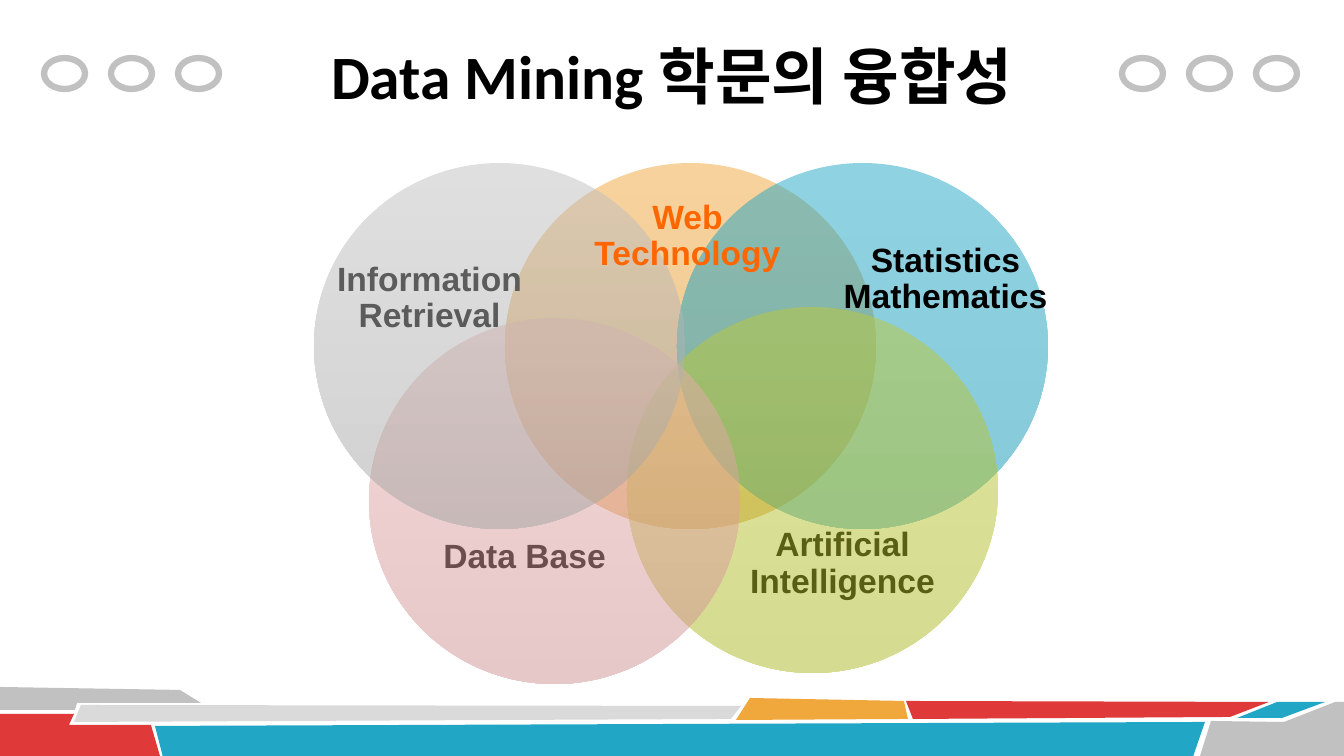
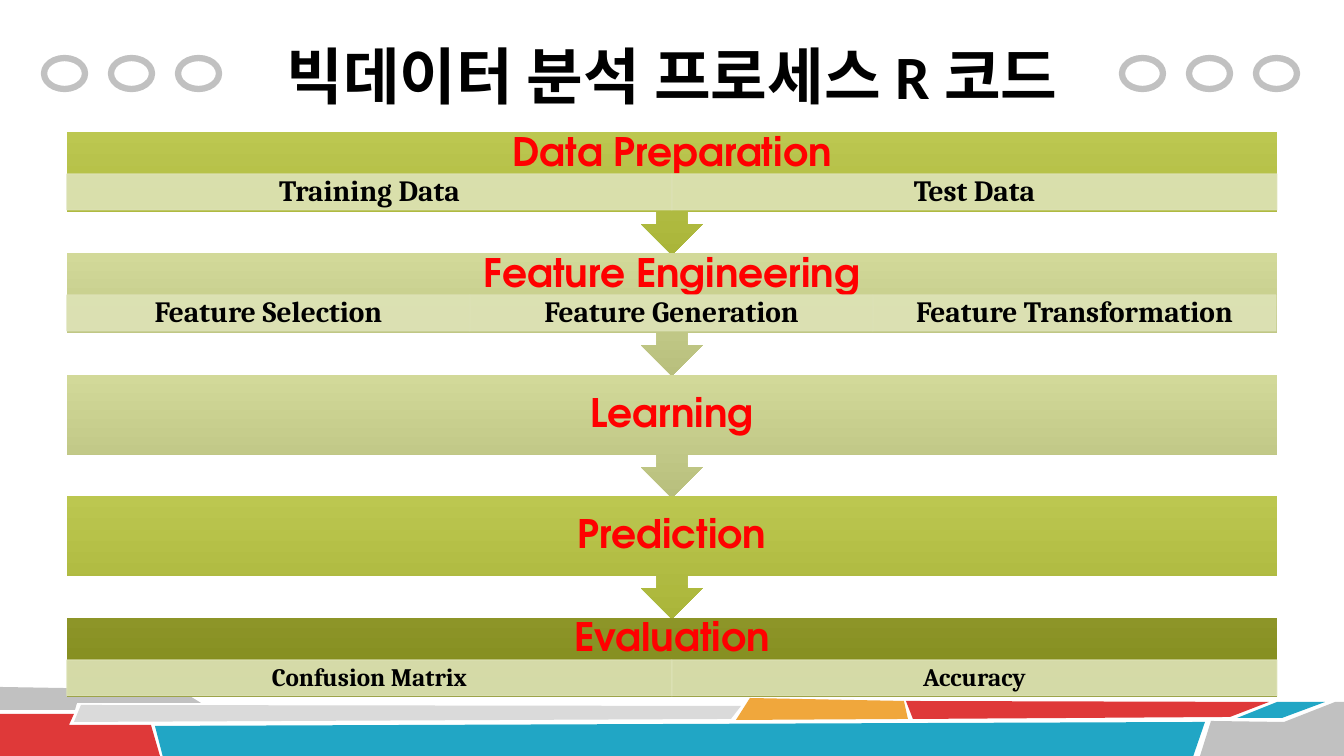
"""Build two slides on data mining: its overlapping disciplines and its process."""
from lxml import etree
from pptx import Presentation
from pptx.dml.color import RGBColor
from pptx.enum import shapes, text
from pptx.oxml.ns import qn

PX = 9072
GREY, RED, TEAL, AMBER = "C1C1C1", "DF3939", "21A6C5", "F0A73C"
OLIVE, PALE, DARK = ("BCC750", "AAB53A"), ("D2D999", "B8BF7D"), ("8D9528", "808919")
CELL = "DEE3B7"
KIND = shapes.MSO_SHAPE
rgb = RGBColor.from_string


def write(frame, words, font, size, color="000000", spacing=None, insets=(0, 0, 0, 0)):
    frame.word_wrap = True
    frame.vertical_anchor = text.MSO_ANCHOR.MIDDLE
    for side, inset in zip(("left", "top", "right", "bottom"), insets):
        setattr(frame, f"margin_{side}", inset * PX)
    line = frame.paragraphs[0]
    line.text = words
    line.alignment = text.PP_ALIGN.CENTER
    line.line_spacing = spacing
    style = {"name": font, "size": size * 12700, "bold": True}
    for name, value in style.items():
        setattr(line.runs[0].font, name, value)
    line.runs[0].font.color.rgb = rgb(color)


def add_block(slide, kind, box, colors, opacity=100, outlined=False):
    block = slide.shapes.add_shape(kind, *(v * PX for v in box))
    block.shadow.inherit = False
    if len(colors) == 2:
        block.fill.gradient()
        block.fill.gradient_angle = 270
        for stop, color in zip(block.fill.gradient_stops, colors):
            stop.color.rgb = rgb(color)
    else:
        block.fill.solid()
        block.fill.fore_color.rgb = rgb(colors[0])
    if outlined:
        block.line.color.rgb = rgb(colors[0])
        block.line.width = 9525
    else:
        block.line.fill.background()
    if opacity < 100:
        for color in block.element.spPr.iter(qn("a:srgbClr")):
            etree.SubElement(color, qn("a:alpha")).set("val", str(opacity * 1000))
    return block


deck = Presentation()
deck.slide_width, deck.slide_height = 1344 * PX, 756 * PX
layout = deck.slide_layouts[5]
for holder in list(layout.placeholders):
    if holder.placeholder_format.type != shapes.PP_PLACEHOLDER.TITLE:
        holder.element.getparent().remove(holder.element)

fields, process = (deck.slides.add_slide(layout) for _ in range(2))
headings = [(fields, "Data Mining 학문의 융합성"), (process, "빅데이터 분석 프로세스 R 코드")]
for slide, heading in headings:
    title = slide.shapes.title
    place = {"left": 235, "top": 12, "width": 874, "height": 126}
    for name, value in place.items():
        setattr(title, name, value * PX)
    write(title.text_frame, heading, "Calibri", 44)

decor = []
bands = [
    (GREY, [(0, 687), (180, 690), (201, 703), (77, 703), (75, 710), (0, 710)]),
    (RED, [(0, 714), (74, 714), (69, 725), (151, 725), (160, 756), (0, 756)]),
    ("DADADA", [(81, 705), (741, 706), (731, 719), (74, 722)]),
    (TEAL, [(155, 726), (1205, 722), (1193, 757), (163, 757)]),
    (AMBER, [(750, 698), (904, 701), (908, 719), (736, 720)]),
    (RED, [(906, 701), (1269, 702), (1230, 717), (913, 719)]),
    (TEAL, [(1277, 702), (1325, 702), (1282, 718), (1237, 718)]),
    (GREY, [(1211, 721), (1284, 722), (1335, 702), (1344, 702), (1344, 756), (1200, 756)]),
]
for color, corners in bands:
    outline = fields.shapes.build_freeform(*corners[0], scale=PX)
    outline.add_line_segments(corners[1:], close=True)
    band = outline.convert_to_shape()
    band.shadow.inherit = False
    band.fill.solid()
    band.fill.fore_color.rgb = rgb(color)
    band.line.fill.background()
    decor.append(band)
for start in (44, 1122):
    for i in range(3):
        box = (start + 67 * i, 58, 41, 31)
        ring = fields.shapes.add_shape(KIND.OVAL, *(v * PX for v in box))
        ring.shadow.inherit = False
        ring.fill.background()
        ring.line.color.rgb = rgb(GREY)
        ring.line.width = 57150
        decor.append(ring)
for part in decor:
    layout.shapes.element.append(part.element)

disciplines = [
    ((505, 163), (AMBER, "DD9224"), "Artificial Intelligence", (725, 496, 235, 136), "000000", 0.9),
    ((677, 163), (TEAL, "0E97B7"), "Data Base", (419, 487, 211, 147), "000000", 0.7),
    ((627, 307), ("BEC936", "ADB922"), "Information Retrieval", (324, 225, 211, 147), "000000", 0.9),
    ((369, 318), ("ECB0B0", "CF9292"), "Statistics Mathematics", (840, 206, 211, 147), "000000", 0.9),
    ((314, 163), (GREY, "A5A5A5"), "Web Technology", (582, 163, 211, 147), "FF6600", 0.9),
]
for corner, colors, label, box, ink, spacing in disciplines:
    add_block(fields, KIND.OVAL, (*corner, 371, 366), colors, opacity=50)
    caption = fields.shapes.add_textbox(*(v * PX for v in box))
    write(caption.text_frame, label, "Arial", 24, ink, spacing)

stages = [
    ("Data Preparation", OLIVE, ["Training Data", "Test Data"], 21),
    ("Feature Engineering", PALE,
     ["Feature Selection", "Feature Generation", "Feature Transformation"], 21),
    ("Learning", PALE, [], 21),
    ("Prediction", OLIVE, [], 21),
    ("Evaluation", DARK, ["Confusion Matrix", "Accuracy"], 18),
]
for i, (name, colors, steps, size) in enumerate(stages):
    top = 132 + 243 * i // 2
    last = i == len(stages) - 1
    kind, height = (KIND.RECTANGLE, 79) if last else (KIND.DOWN_ARROW_CALLOUT, 123)
    stage = add_block(process, kind, (67, top, 1210, height), colors)
    write(stage.text_frame, name, "TeX Gyre Adventor", 28, "FF0000", 0.9,
          (22, 0, 22, 37 if steps else 0))
    for j, step in enumerate(steps):
        width = 1210 // len(steps)
        cell = add_block(process, KIND.RECTANGLE, (67 + j * width, top + 42, width, 36),
                         [CELL], opacity=90, outlined=True)
        write(cell.text_frame, step, "Cambria", size, spacing=0.9, insets=(16, 3, 16, 3))

deck.save("out.pptx")
